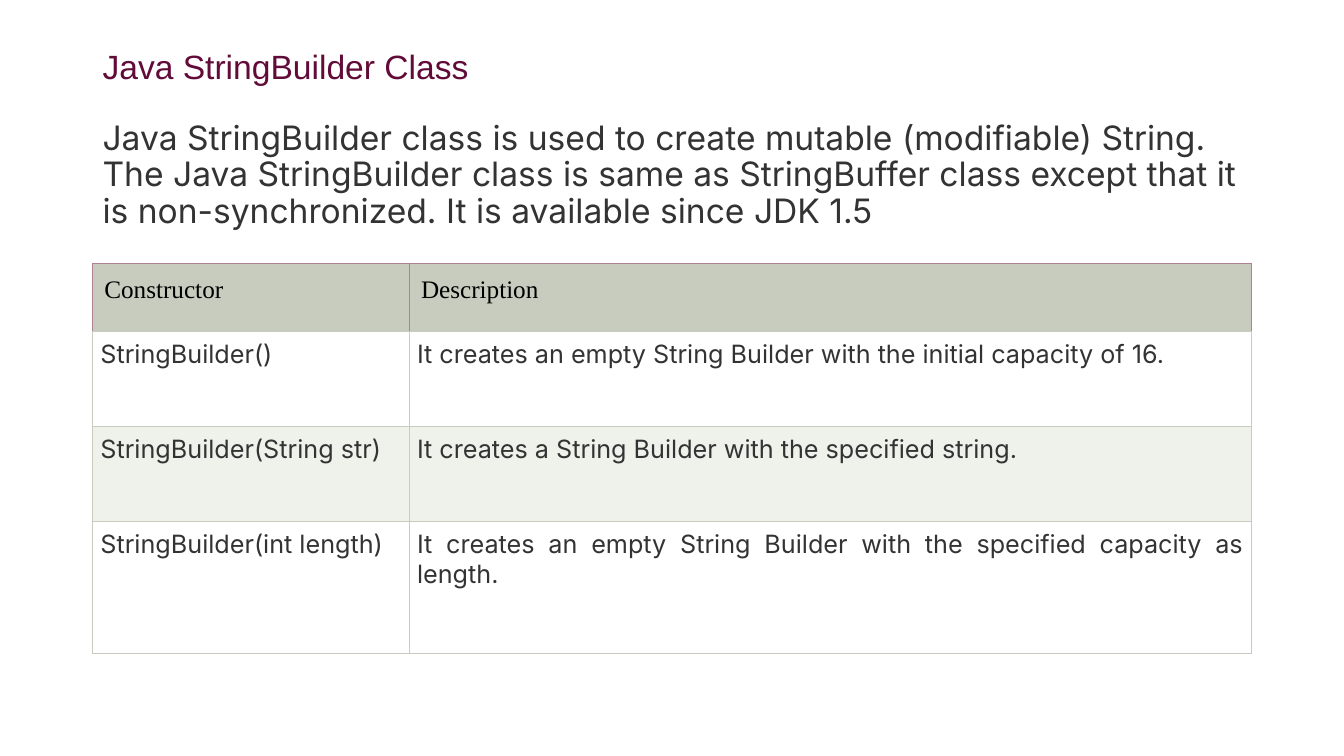
"""Build the slide on the Java StringBuilder class and its constructors."""
from lxml import etree
from pptx import Presentation
from pptx import util as u
from pptx.dml.color import RGBColor
from pptx.enum import text
from pptx.oxml import ns

COLORS = {
    "heading": "610B38",
    "body": "333333",
    "header text": "000000",
    "header fill": "C7CCBE",
    "header border": "B08192",
    "border": "C7CCBE",
    "plain": "FFFFFF",
    "band": "EFF1EB",
}
ROWS = [
    ("Constructor", "Description"),
    ("StringBuilder()", "It creates an empty String Builder with the initial capacity of 16."),
    ("StringBuilder(String str)", "It creates a String Builder with the specified string."),
    ("StringBuilder(int length)", "It creates an empty String Builder with the specified capacity as length."),
]
LEFT, WIDTH = u.Cm(2.33), u.Cm(29.21)
COLUMN_WIDTHS = [7.98, 21.23]
ROW_HEIGHTS = [1.7, 2.39, 2.39, 3.33]


def write(paragraph, content, size=18, font="Inter", color="body",
          align=text.PP_ALIGN.LEFT, spacing=1.0, after=0):
    run = paragraph.add_run()
    run.text = content
    run.font.size = u.Pt(size)
    run.font.name = font
    run.font.bold = False
    run.font.color.rgb = RGBColor.from_string(COLORS[color])
    paragraph.alignment = align
    paragraph.line_spacing = spacing
    paragraph.space_before = u.Pt(0)
    paragraph.space_after = u.Pt(after)


def add_border(cell, side, color):
    properties = cell._tc.get_or_add_tcPr()
    line = etree.SubElement(properties, ns.qn(f"a:ln{side}"), w=str(u.Pt(0.75)))
    fill = etree.SubElement(line, ns.qn("a:solidFill"))
    etree.SubElement(fill, ns.qn("a:srgbClr"), val=COLORS[color])


presentation = Presentation()
presentation.slide_width, presentation.slide_height = u.Cm(33.87), u.Cm(19.05)
slide = presentation.slides.add_slide(presentation.slide_layouts[5])

title = slide.shapes.title
title.left, title.top, title.width, title.height = LEFT, u.Cm(1.02), WIDTH, u.Cm(5.03)
frame = title.text_frame
frame.word_wrap = True
frame.auto_size = text.MSO_AUTO_SIZE.NONE
frame.vertical_anchor = text.MSO_ANCHOR.MIDDLE
write(frame.paragraphs[0], "Java StringBuilder Class", size=24, font="Arial",
      color="heading", spacing=0.9, after=25)
write(frame.add_paragraph(),
      "Java StringBuilder class is used to create mutable (modifiable) String. "
      "The Java StringBuilder class is same as StringBuffer class except that it "
      "is non-synchronized. It is available since JDK 1.5", size=24, spacing=0.9)

table = slide.shapes.add_table(len(ROWS), len(COLUMN_WIDTHS), LEFT, u.Cm(6.65),
                               WIDTH, u.Cm(sum(ROW_HEIGHTS))).table
table.horz_banding = False
for column, width in zip(table.columns, COLUMN_WIDTHS):
    column.width = u.Cm(width)

for index, (row, height, contents) in enumerate(zip(table.rows, ROW_HEIGHTS, ROWS)):
    row.height = u.Cm(height)
    is_header = index == 0
    fill_color = "header fill" if is_header else "band" if index == 2 else "plain"
    inset = u.Cm(0.3 if is_header else 0.2)
    for cell, content in zip(row.cells, contents):
        cell.margin_left = cell.margin_right = inset
        cell.margin_top = cell.margin_bottom = inset
        for side in "LRTB":
            add_border(cell, side, "header border" if is_header and side != "B" else "border")
        cell.fill.solid()
        cell.fill.fore_color.rgb = RGBColor.from_string(COLORS[fill_color])
        paragraph = cell.text_frame.paragraphs[0]
        if is_header:
            write(paragraph, content, font="Times New Roman", color="header text")
        else:
            write(paragraph, content, align=text.PP_ALIGN.JUSTIFY)

presentation.save("out.pptx")
